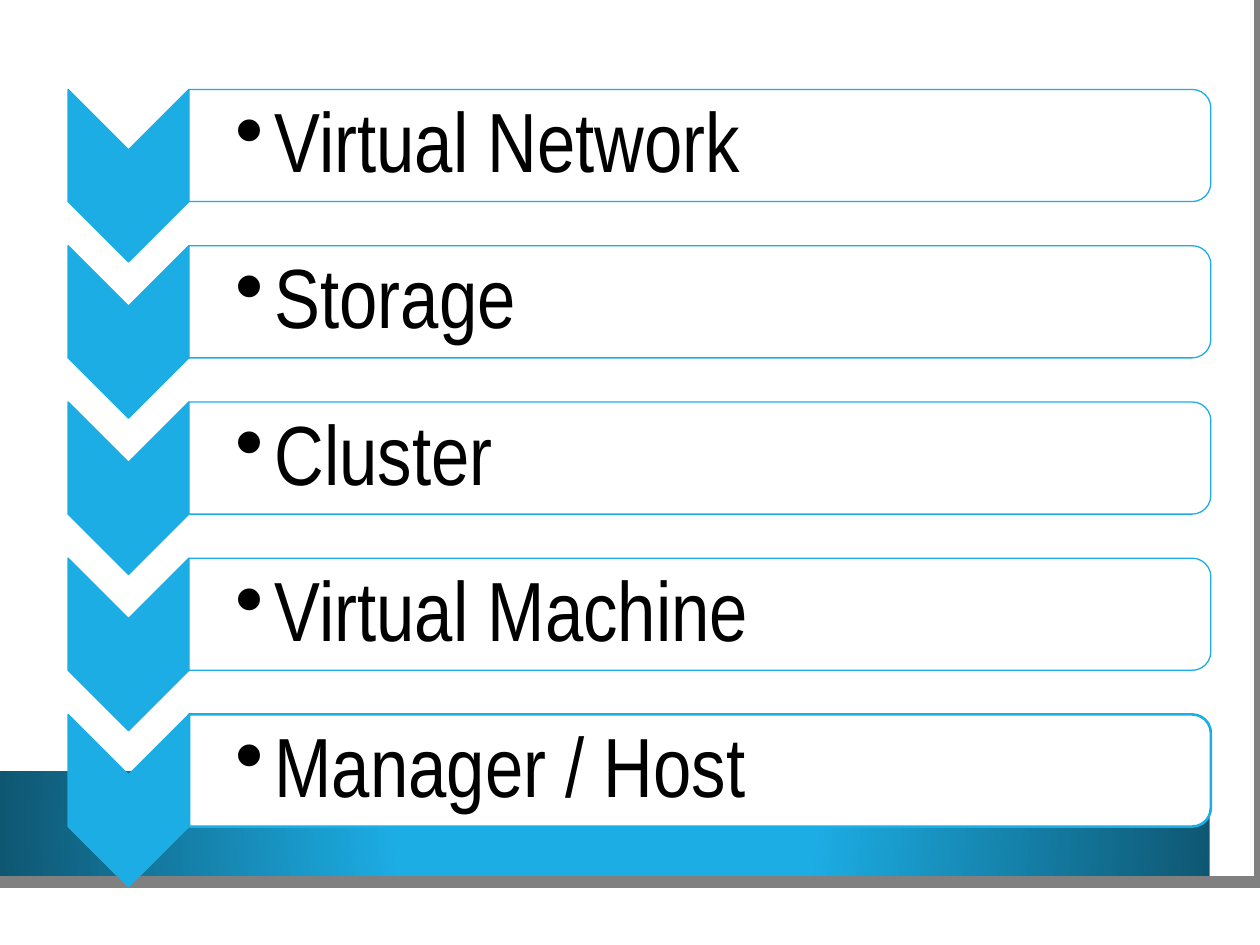
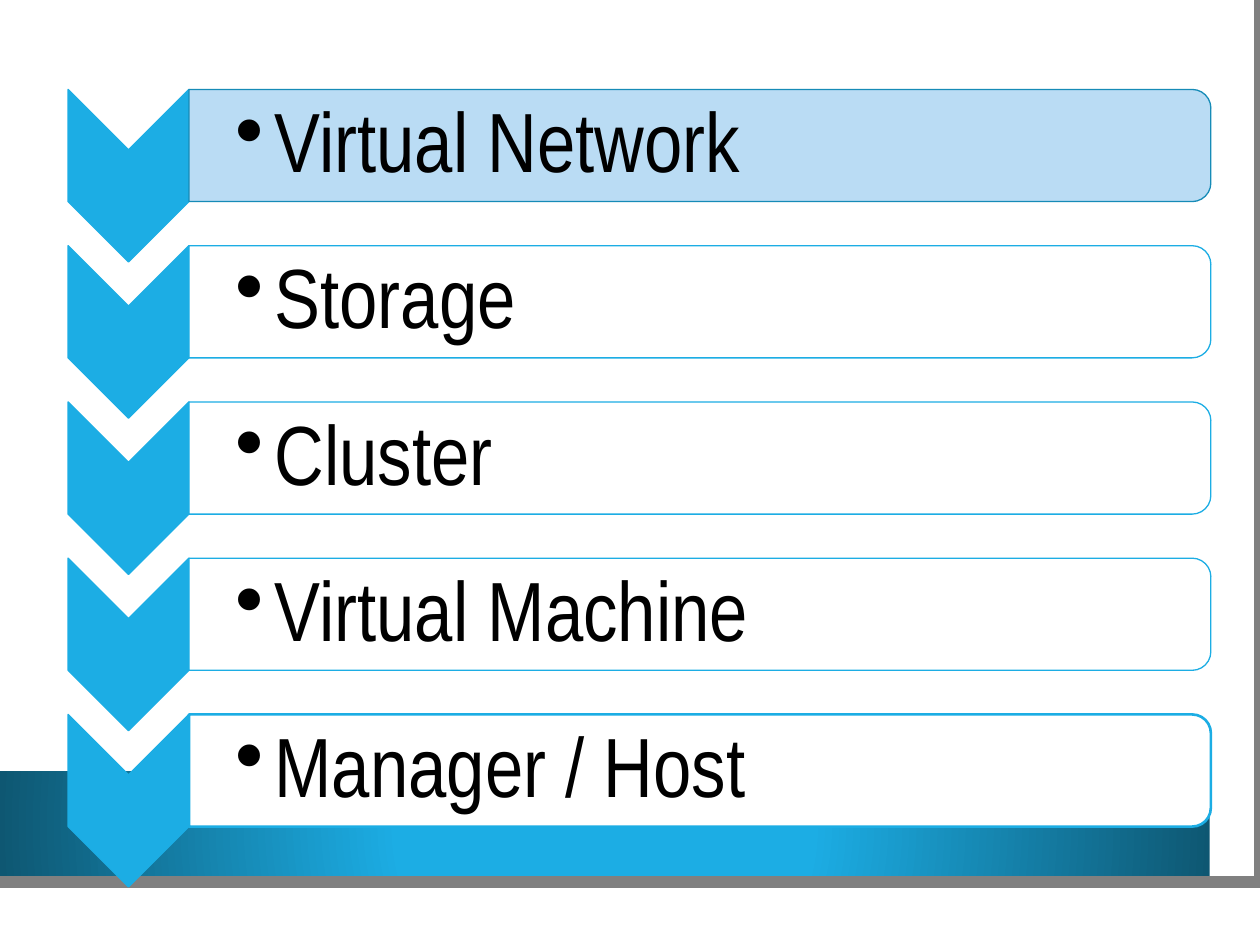
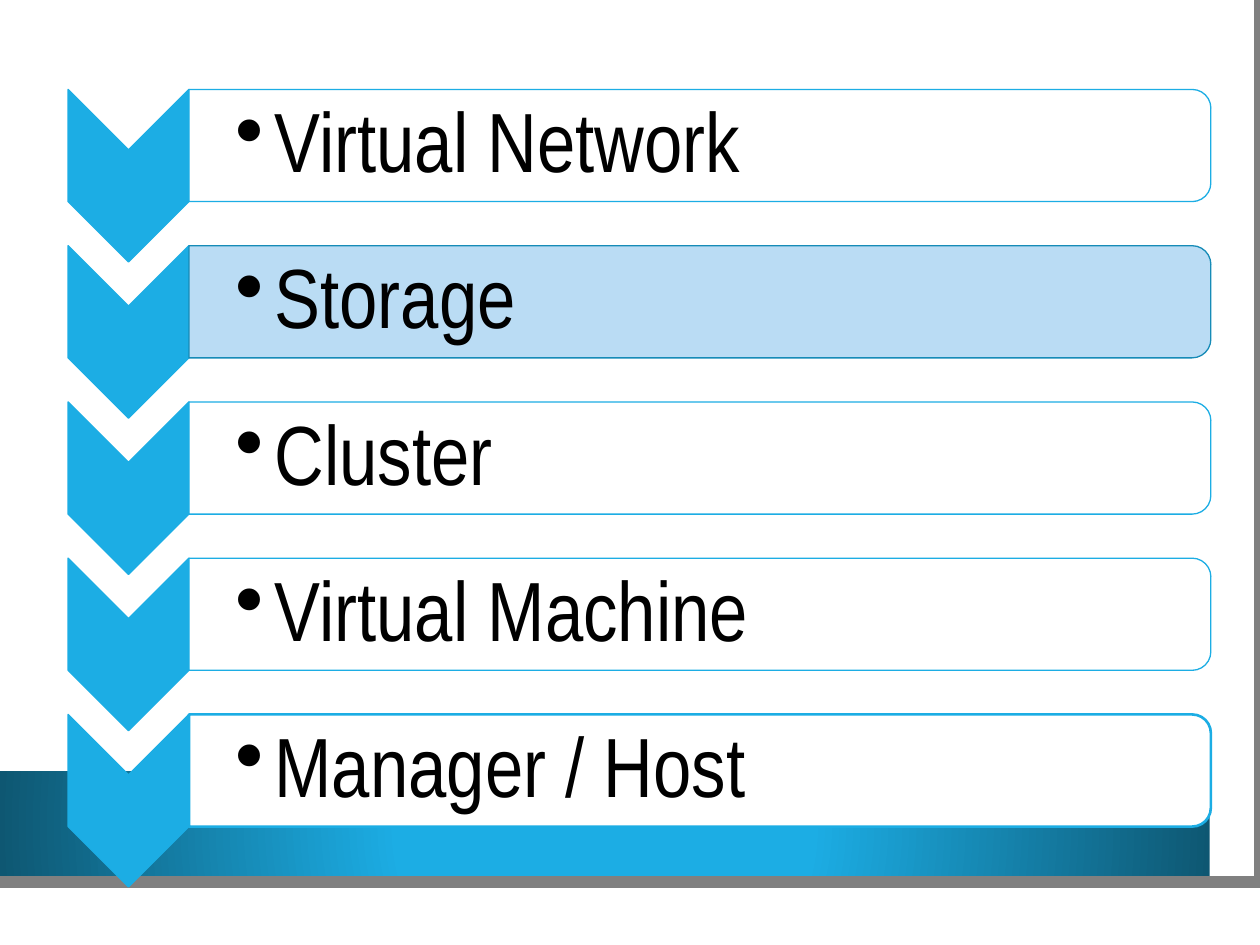
from dataclasses import dataclass

from lxml import etree
from pptx import Presentation
from pptx import util as u
from pptx.dml.color import RGBColor
from pptx.enum import shapes, text
from pptx.oxml.ns import qn

COLORS = {
    "white": "FFFFFF",
    "blue": "1CADE4",
    "deep_blue": "0E5772",
    "edge_blue": "168BB7",
    "pale_blue": "BADCF4",
    "gray": "808080",
    "black": "000000",
}
TEXT_FORMAT = {"name": "Arial Narrow", "size": u.Pt(48)}
FRAME_FORMAT = {
    "word_wrap": True,
    "vertical_anchor": text.MSO_ANCHOR.MIDDLE,
    "margin_left": u.Inches(0.37),
    "margin_right": u.Inches(0.03),
    "margin_top": u.Inches(0.03),
    "margin_bottom": u.Inches(0.03),
}

# Grid: an arrow column and a label column, one row per layer
SLIDE_WIDTH, SLIDE_HEIGHT = 10, 7.5
ROW_TOP, ROW_PITCH, ROW_HEIGHT = 0.71, 1.24, 0.89
ARROW_LEFT, ARROW_WIDTH, ARROW_HEIGHT = 0.54, 0.96, 1.37
LABEL_LEFT, LABEL_WIDTH = 1.5, 8.11
LABEL_INSET = 0.04
HANGING_INDENT = u.Inches(0.31)

LAYERS = ["Virtual Network", "Storage", "Cluster", "Virtual Machine", "Manager / Host"]
HIGHLIGHTED_LAYERS = [None, "Virtual Network", "Storage"]  # one entry per slide


@dataclass(frozen=True)
class Box:
    left: float
    top: float
    width: float
    height: float

    def lengths(self) -> list:
        return [u.Inches(n) for n in (self.left, self.top, self.width, self.height)]

    def before_quarter_turn(self) -> "Box":
        """The frame that covers this box once it is turned by 90 degrees."""
        shift = (self.width - self.height) / 2
        return Box(self.left + shift, self.top - shift, self.height, self.width)


@dataclass(frozen=True)
class Style:
    fill: str
    line: str
    line_width: float = 0.75
    opacity: int = 100


ARROW = Style("blue", "blue")
PLAIN = Style("white", "blue", opacity=90)
HIGHLIGHT = Style("pale_blue", "edge_blue")
BASE = Style("white", "blue", line_width=1.5)


def rgb(name: str) -> RGBColor:
    return RGBColor.from_string(COLORS[name])


def apply_format(target, values: dict) -> None:
    for name, value in values.items():
        setattr(target, name, value)


def add_turned_shape(slide, kind, box: Box, style: Style) -> None:
    shape = slide.shapes.add_shape(kind, *box.before_quarter_turn().lengths())
    shape.rotation = 90
    shape.shadow.inherit = False
    shape.fill.solid()
    shape.fill.fore_color.rgb = rgb(style.fill)
    shape.line.color.rgb = rgb(style.line)
    shape.line.width = u.Pt(style.line_width)
    if style.opacity < 100:
        color = shape.element.spPr.find(qn("a:solidFill")).find(qn("a:srgbClr"))
        etree.SubElement(color, qn("a:alpha"), val=str(style.opacity * 1000))


def add_label(slide, box: Box, label: str) -> None:
    frame = slide.shapes.add_textbox(*box.lengths()).text_frame
    apply_format(frame, FRAME_FORMAT)
    paragraph = frame.paragraphs[0]
    paragraph.text = label
    apply_format(paragraph, {"level": 1, "line_spacing": 0.9})
    # Bullet, hanging indent and relative space after
    properties = paragraph._p.get_or_add_pPr()
    properties.set("marL", str(HANGING_INDENT))
    properties.set("indent", str(-HANGING_INDENT))
    space_after = etree.SubElement(properties, qn("a:spcAft"))
    etree.SubElement(space_after, qn("a:spcPct"), val="15000")
    etree.SubElement(properties, qn("a:buChar"), char="•")
    font = paragraph.runs[0].font
    apply_format(font, TEXT_FORMAT)
    font.color.rgb = rgb("black")


def add_layer(slide, row: int, label: str, style: Style) -> None:
    top = ROW_TOP + row * ROW_PITCH
    add_turned_shape(slide, shapes.MSO_SHAPE.CHEVRON,
                     Box(ARROW_LEFT, top, ARROW_WIDTH, ARROW_HEIGHT), ARROW)
    add_turned_shape(slide, shapes.MSO_SHAPE.ROUND_2_SAME_RECTANGLE,
                     Box(LABEL_LEFT, top, LABEL_WIDTH, ROW_HEIGHT), style)
    add_label(slide, Box(LABEL_LEFT, top + LABEL_INSET, LABEL_WIDTH - LABEL_INSET,
                         ROW_HEIGHT - 2 * LABEL_INSET), label)


def draw_backdrop(slide) -> list:
    """Draw the page, the bottom band and the gray edge."""
    rectangle = shapes.MSO_SHAPE.RECTANGLE
    page = slide.shapes.add_shape(rectangle, *Box(0, 0, 9.83, 7.27).lengths())
    page.fill.solid()
    page.fill.fore_color.rgb = rgb("white")

    band = slide.shapes.add_shape(rectangle, *Box(0, 6.12, 9.6, 0.85).lengths())
    band.fill.gradient()
    for stop, (position, color) in zip(band.fill.gradient_stops,
                                       [(0.34, "blue"), (1, "deep_blue")]):
        stop.position = position
        stop.color.rgb = rgb(color)
    gradient = band.element.spPr.find(qn("a:gradFill"))
    gradient.remove(gradient.find(qn("a:lin")))
    circle = etree.SubElement(gradient, qn("a:path"), path="circle")
    etree.SubElement(circle, qn("a:fillToRect"), dict.fromkeys("ltrb", "50000"))

    builder = slide.shapes.build_freeform(9.6, 0, scale=u.Inches(1))
    builder.add_line_segments([(9.62, 7.02), (-0.02, 7.01)], close=False)
    edge = builder.convert_to_shape()
    edge.fill.background()
    edge.line.color.rgb = rgb("gray")
    edge.line.width = u.Pt(6.5)

    for shape in (page, band):
        shape.line.fill.background()
    for shape in (page, band, edge):
        shape.shadow.inherit = False
    return [page, band, edge]


def main() -> None:
    presentation = Presentation()
    presentation.slide_width = u.Inches(SLIDE_WIDTH)
    presentation.slide_height = u.Inches(SLIDE_HEIGHT)
    layout = presentation.slide_layouts[6]

    slides = [presentation.slides.add_slide(layout) for _ in HIGHLIGHTED_LAYERS]

    # The backdrop moves to the layout, so all slides share it
    for shape in draw_backdrop(slides[0]):
        layout.shapes.element.append(shape.element)

    for slide, highlighted in zip(slides, HIGHLIGHTED_LAYERS):
        for row, label in enumerate(LAYERS):
            style = BASE if label == LAYERS[-1] else PLAIN
            add_layer(slide, row, label, HIGHLIGHT if label == highlighted else style)

    presentation.save("out.pptx")


if __name__ == "__main__":
    main()
